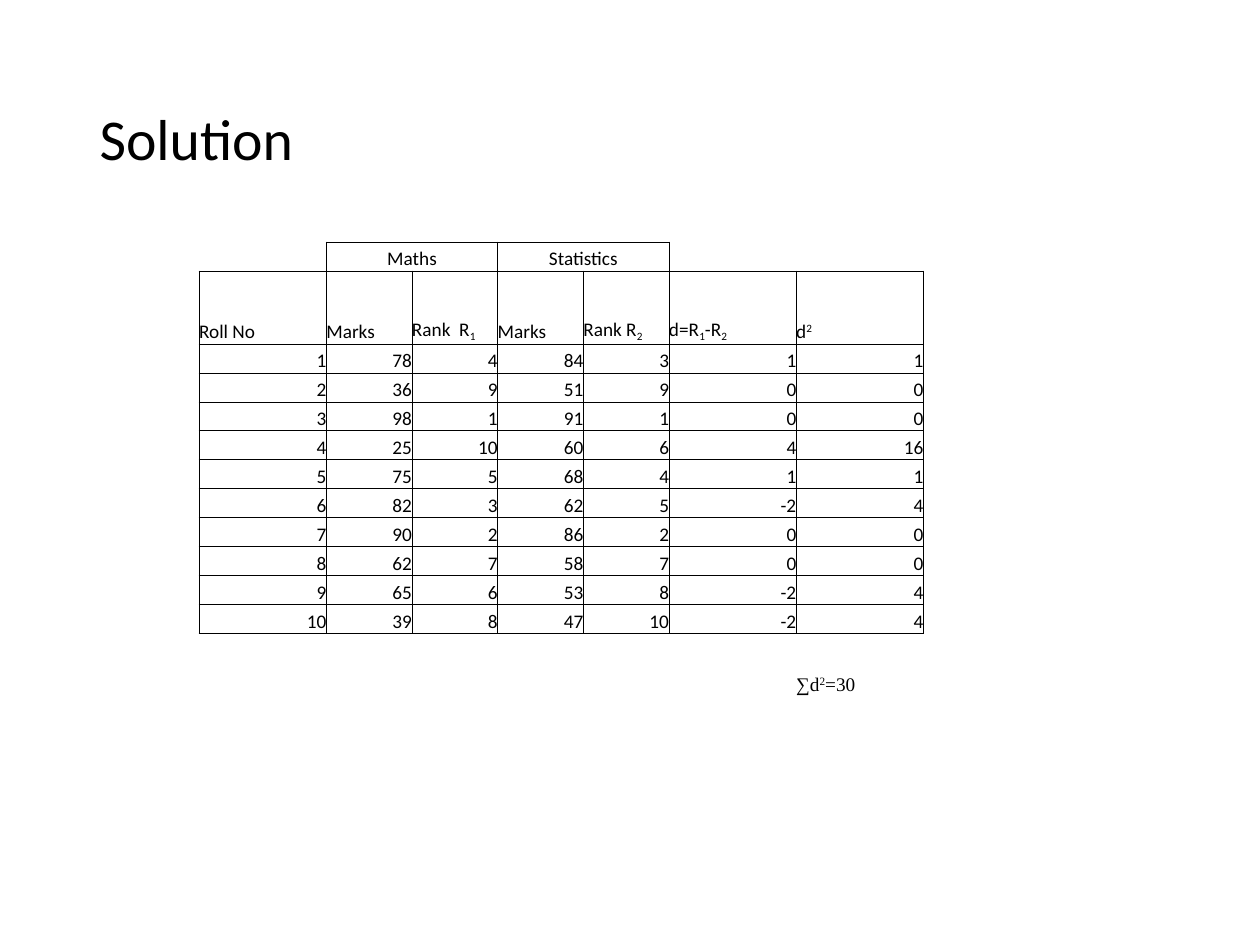
import dataclasses

import lxml.etree
import pptx
import pptx.dml.color
import pptx.enum.text
import pptx.oxml.ns
import pptx.util

WIDE, HIGH = 10, 7.5
INK = "000000"
ALIGN = pptx.enum.text.PP_ALIGN
ANCHOR = pptx.enum.text.MSO_ANCHOR
SHIFT = {"_": "-25000", "^": "30000"}  # subscript and superscript marks

# Column widths and row heights in inches
COLS = [1.01, 0.68, 0.68, 0.68, 0.68, 1.01, 1.01]
ROWS = [0.23, 0.58] + [0.23] * 11 + [0.26]
HEADS = ["Roll No", "Marks", "Rank  R_1", "Marks", "Rank R_2",
         "d=R_1-R_2", "d^2"]
LAST = 11  # last row with ruled cells


@dataclasses.dataclass
class Mark:
    maths: int
    rank1: int
    stats: int
    rank2: int
    diff: int
    square: int


MARKS = [
    Mark(78, 4, 84, 3, 1, 1),
    Mark(36, 9, 51, 9, 0, 0),
    Mark(98, 1, 91, 1, 0, 0),
    Mark(25, 10, 60, 6, 4, 16),
    Mark(75, 5, 68, 4, 1, 1),
    Mark(82, 3, 62, 5, -2, 4),
    Mark(90, 2, 86, 2, 0, 0),
    Mark(62, 7, 58, 7, 0, 0),
    Mark(65, 6, 53, 8, -2, 4),
    Mark(39, 8, 47, 10, -2, 4),
]


def color(code: str) -> pptx.dml.color.RGBColor:
    return pptx.dml.color.RGBColor.from_string(code)


def style(para, size: float, face: str = "Calibri", align=ALIGN.LEFT) -> None:
    para.alignment = align
    para.font.size = pptx.util.Pt(size)
    para.font.name = face
    para.font.color.rgb = color(INK)


def write(para, text: str) -> None:
    """Add runs; a mark shifts the one character after it."""
    start = 0
    for pos, char in enumerate(text):
        if char in SHIFT:
            para.add_run().text = text[start:pos]
            run = para.add_run()
            run.text = text[pos + 1]
            run.font._element.set("baseline", SHIFT[char])
            start = pos + 2
    if text[start:]:
        para.add_run().text = text[start:]


def fill(cell, text: str = "", align=ALIGN.LEFT, face: str = "Calibri") -> None:
    cell.margin_left = cell.margin_right = 0
    cell.margin_top = cell.margin_bottom = 0
    cell.vertical_anchor = ANCHOR.BOTTOM
    para = cell.text_frame.paragraphs[0]
    style(para, 11, face, align)
    write(para, text)


def ruled(row: int, col: int) -> bool:
    return 1 <= col <= 4 if row == 0 else row <= LAST and 0 <= col < len(COLS)


def border(cell, row: int, col: int) -> None:
    """Rule each edge that touches a ruled cell."""
    props = cell._tc.get_or_add_tcPr()
    sides = {"lnL": (0, -1), "lnR": (0, 1), "lnT": (-1, 0), "lnB": (1, 0)}
    for side, (down, right) in sides.items():
        line = lxml.etree.SubElement(props, pptx.oxml.ns.qn("a:" + side))
        near = row + down >= 0 and ruled(row + down, col + right)
        if ruled(row, col) or near:
            line.set("w", str(pptx.util.Pt(0.5)))
            solid = lxml.etree.SubElement(line, pptx.oxml.ns.qn("a:solidFill"))
            tint = lxml.etree.SubElement(solid, pptx.oxml.ns.qn("a:srgbClr"))
            tint.set("val", INK)
        else:
            lxml.etree.SubElement(line, pptx.oxml.ns.qn("a:noFill"))
    cell.fill.background()


def add_title(slide) -> None:
    title = slide.shapes.title
    title.left, title.top, title.width, title.height = map(
        pptx.util.Inches, (0.069 * WIDE, 0.053 * HIGH, 0.862 * WIDE, 0.193 * HIGH))
    frame = title.text_frame
    frame.text = "Solution"
    frame.auto_size = pptx.enum.text.MSO_AUTO_SIZE.NONE
    frame.vertical_anchor = ANCHOR.MIDDLE
    style(frame.paragraphs[0], 33)
    frame.paragraphs[0].line_spacing = 0.9


def add_marks(slide) -> None:
    place = map(pptx.util.Inches,
                (0.158 * WIDE, 0.256 * HIGH, sum(COLS), sum(ROWS)))
    table = slide.shapes.add_table(len(ROWS), len(COLS), *place).table
    table.first_row = table.horz_banding = False
    for col, width in zip(table.columns, COLS):
        col.width = pptx.util.Inches(width)
    for row, height in zip(table.rows, ROWS):
        row.height = pptx.util.Inches(height)

    # Text by cell: subjects, heads, marks, sum
    words = {(0, 1): ("Maths", ALIGN.CENTER), (0, 3): ("Statistics", ALIGN.CENTER)}
    words |= {(1, col): (head, ALIGN.LEFT) for col, head in enumerate(HEADS)}
    for roll, mark in enumerate(MARKS, 1):
        for col, value in enumerate((roll, *dataclasses.astuple(mark))):
            words[roll + 1, col] = (str(value), ALIGN.RIGHT)
    words[len(ROWS) - 1, len(COLS) - 1] = ("∑d^2=30", ALIGN.LEFT, "Times New Roman")

    for row in range(len(ROWS)):
        for col in range(len(COLS)):
            cell = table.cell(row, col)
            fill(cell, *words.get((row, col), ()))
            border(cell, row, col)
    for col in (1, 3):
        table.cell(0, col).merge(table.cell(0, col + 1))


def main() -> None:
    deck = pptx.Presentation()
    deck.slide_width = pptx.util.Inches(WIDE)
    deck.slide_height = pptx.util.Inches(HIGH)
    slide = deck.slides.add_slide(deck.slide_layouts[5])
    add_title(slide)
    add_marks(slide)
    deck.save("out.pptx")


if __name__ == "__main__":
    main()
